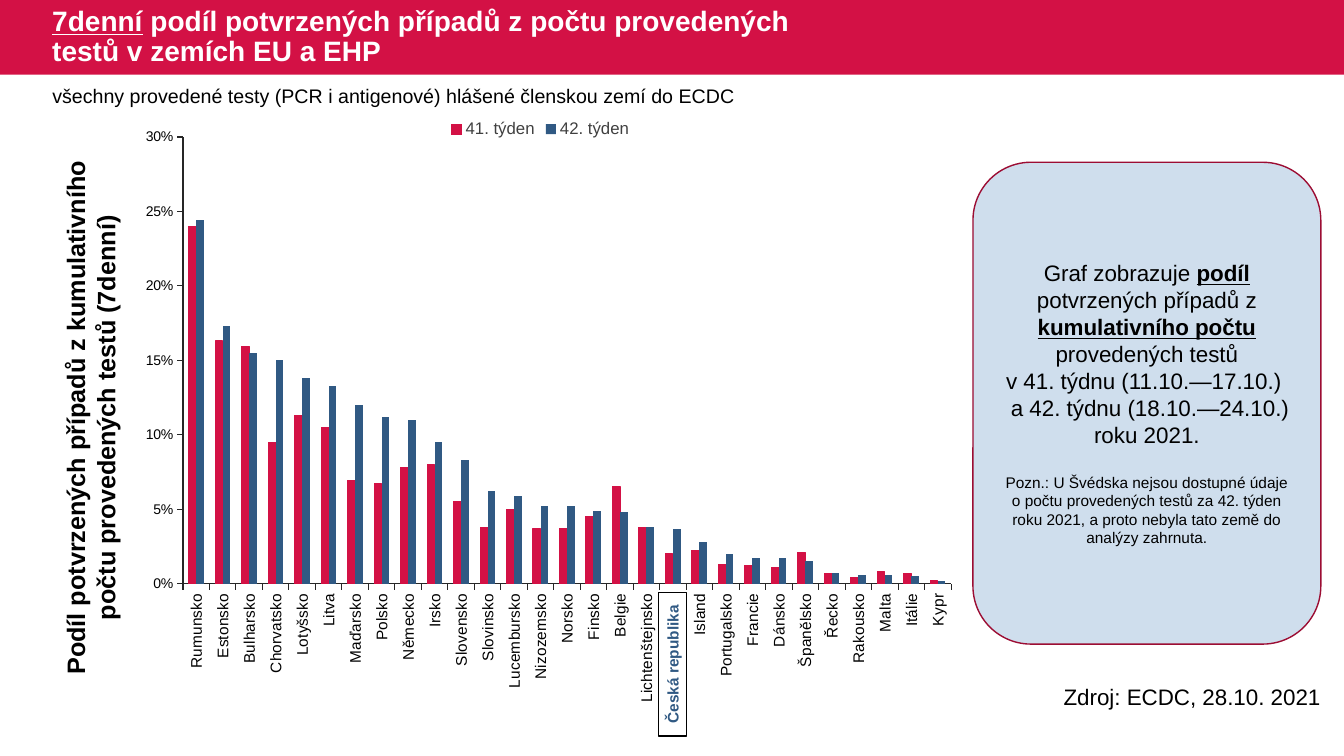
from lxml.etree import fromstring
from pptx import Presentation
from pptx.chart.data import CategoryChartData
from pptx.dml.color import RGBColor
from pptx.enum.chart import XL_CHART_TYPE, XL_LEGEND_POSITION, XL_TICK_MARK
from pptx.enum.shapes import MSO_SHAPE
from pptx.enum.text import MSO_ANCHOR, PP_ALIGN
from pptx.util import Inches, Pt

COLORS = {
    "red": "D31145", "dark_red": "9C0D33", "blue": "305983", "pale_blue": "CFDEED",
    "black": "000000", "axis": "262626", "grey": "404040", "white": "FFFFFF",
}
FONT = "Arial"
CENTER = PP_ALIGN.CENTER


def add_text(p, text, size=16, color="black", bold=False, underline=False, align=None):
    """Append a formatted run to a paragraph."""
    r = p.add_run()
    r.text = text
    r.font.name, r.font.size = FONT, Pt(size)
    r.font.bold, r.font.underline = bold, underline
    r.font.color.rgb = RGBColor.from_string(COLORS[color])
    if align is not None:
        p.alignment = align


def add_box(left, top, width, height, kind=None, fill=None, line=None):
    """Add a text box, or a preset shape when kind is given."""
    frame = [Inches(v) for v in (left, top, width, height)]
    if kind is None:
        sp = s.shapes.add_textbox(*frame)
    else:
        sp = s.shapes.add_shape(kind, *frame)
        sp.shadow.inherit = False
        sp.fill.solid()
        sp.fill.fore_color.rgb = RGBColor.from_string(COLORS[fill])
        if line:
            sp.line.color.rgb = RGBColor.from_string(COLORS[line])
            sp.line.width = Pt(1)
        else:
            sp.line.fill.background()
        sp.text_frame.vertical_anchor = MSO_ANCHOR.MIDDLE
    sp.text_frame.word_wrap = True
    return sp


prs = Presentation()
prs.slide_width, prs.slide_height = Inches(13.33), Inches(7.5)
s = prs.slides.add_slide(prs.slide_layouts[6])

# Header
add_box(0, 0, 13.33, 0.74, MSO_SHAPE.RECTANGLE, "red")
tf = add_box(0.42, 0, 8.16, 0.74).text_frame
tf.vertical_anchor = MSO_ANCHOR.MIDDLE
p = tf.paragraphs[0]
p.line_spacing = 0.9
add_text(p, "7denní", 20, "white", bold=True, underline=True)
add_text(p, " podíl potvrzených případů z počtu provedených testů v zemích EU a EHP",
         20, "white", bold=True)

# Source and axis title
sp = add_box(10.45, 6.73, 2.85, 0.37)
add_text(sp.text_frame.paragraphs[0], "Zdroj: ECDC, 28.10. 2021")
sp = add_box(-1.81, 3.79, 5.42, 0.71)
sp.rotation = 270
add_text(sp.text_frame.paragraphs[0],
         "Podíl potvrzených případů z kumulativního počtu provedených testů (7denní)",
         18, bold=True, align=CENTER)

# Chart: share of positive tests by country in weeks 41 and 42
shares = [
    ("Rumunsko", 0.24, 0.244), ("Estonsko", 0.163, 0.173), ("Bulharsko", 0.159, 0.155),
    ("Chorvatsko", 0.095, 0.15), ("Lotyšsko", 0.113, 0.138), ("Litva", 0.105, 0.133),
    ("Maďarsko", 0.069, 0.12), ("Polsko", 0.067, 0.112), ("Německo", 0.078, 0.11),
    ("Irsko", 0.08, 0.095), ("Slovensko", 0.055, 0.083), ("Slovinsko", 0.038, 0.062),
    ("Lucembursko", 0.05, 0.059), ("Nizozemsko", 0.037, 0.052), ("Norsko", 0.037, 0.052),
    ("Finsko", 0.045, 0.049), ("Belgie", 0.065, 0.048), ("Lichtenštejnsko", 0.038, 0.038),
    ("Česká republika", 0.02, 0.037), ("Island", 0.022, 0.028), ("Portugalsko", 0.013, 0.02),
    ("Francie", 0.012, 0.017), ("Dánsko", 0.011, 0.017), ("Španělsko", 0.021, 0.015),
    ("Řecko", 0.007, 0.007), ("Rakousko", 0.004, 0.006), ("Malta", 0.008, 0.006),
    ("Itálie", 0.007, 0.005), ("Kypr", 0.002, 0.002),
]
countries, week_41, week_42 = zip(*shares)
data = CategoryChartData(number_format="0%")
data.categories = countries
data.add_series("41. týden", week_41)
data.add_series("42. týden", week_42)
chart = s.shapes.add_chart(XL_CHART_TYPE.COLUMN_CLUSTERED, Inches(1.16), Inches(1.08),
                           Inches(8.4), Inches(5.95), data).chart
chart.has_title = False
chart.has_legend = True
legend = chart.legend
legend.position = XL_LEGEND_POSITION.TOP
legend.include_in_layout = False

category_axis, value_axis = chart.category_axis, chart.value_axis
value_axis.minimum_scale, value_axis.maximum_scale = 0, 0.3
value_axis.major_unit = 0.05
value_axis.tick_labels.number_format = "0%"
value_axis.tick_labels.number_format_is_linked = False
for axis in (category_axis, value_axis):
    axis.has_major_gridlines = False
    axis.major_tick_mark = XL_TICK_MARK.OUTSIDE
    axis.minor_tick_mark = XL_TICK_MARK.NONE
    axis.format.line.color.rgb = RGBColor.from_string(COLORS["axis"])
    axis.format.line.width = Pt(0.75)
for font, size, color in (
    (chart.font, 10, "grey"), (legend.font, 12, "grey"),
    (category_axis.tick_labels.font, 11, "black"), (value_axis.tick_labels.font, 10, "black"),
):
    font.name, font.size = FONT, Pt(size)
    font.color.rgb = RGBColor.from_string(COLORS[color])
category_axis._element.txPr.bodyPr.set("rot", "-5400000")
category_axis._element.txPr.bodyPr.set("vert", "horz")

plot = chart.plots[0]
plot.gap_width = 150
plot.vary_by_categories = False
for series, color in zip(plot.series, ("red", "blue")):
    series.invert_if_negative = False
    series.format.fill.solid()
    series.format.fill.fore_color.rgb = RGBColor.from_string(COLORS[color])
plot.series[0].format.line.color.rgb = RGBColor.from_string(COLORS["red"])
plot.series[0].format.line.width = Pt(0.75)

plot_area = chart._chartSpace.chart.plotArea
for old in plot_area.findall("{*}layout"):
    plot_area.remove(old)
plot_area.insert(0, fromstring(
    '<c:layout xmlns:c="http://schemas.openxmlformats.org/drawingml/2006/chart">'
    '<c:manualLayout><c:layoutTarget val="inner"/>'
    '<c:xMode val="edge"/><c:yMode val="edge"/><c:x val="0.078"/><c:y val="0.047"/>'
    '<c:w val="0.907"/><c:h val="0.745"/></c:manualLayout></c:layout>'))

# Explanation panel
tf = add_box(9.65, 1.61, 3.45, 4.78, MSO_SHAPE.ROUNDED_RECTANGLE,
             "pale_blue", "dark_red").text_frame
p = tf.paragraphs[0]
for text, strong in (
    ("Graf zobrazuje ", False), ("podíl", True), (" potvrzených případů z ", False),
    ("kumulativního počtu", True), (" provedených testů", False),
):
    add_text(p, text, bold=strong, underline=strong, align=CENTER)
for text in ("v 41. týdnu (11.10.—17.10.) ", " a 42. týdnu (18.10.—24.10.) roku 2021."):
    add_text(tf.add_paragraph(), text, align=CENTER)
p = tf.add_paragraph()
p.space_before = Pt(18)
add_text(p, "Pozn.: U Švédska nejsou dostupné údaje o počtu provedených testů za 42. týden "
            "roku 2021, a proto nebyla tato země do analýzy zahrnuta.", 11, align=CENTER)

# Highlighted country label
sp = add_box(5.96, 6.45, 1.42, 0.28, MSO_SHAPE.RECTANGLE, "white", "black")
sp.rotation = 270
add_text(sp.text_frame.paragraphs[0], "Česká republika", 11, "blue", bold=True, align=CENTER)

# Subtitle
sp = add_box(0.42, 0.78, 12.59, 0.34)
add_text(sp.text_frame.paragraphs[0],
         "všechny provedené testy (PCR i antigenové) hlášené členskou zemí do ECDC", 14)

prs.save("out.pptx")
